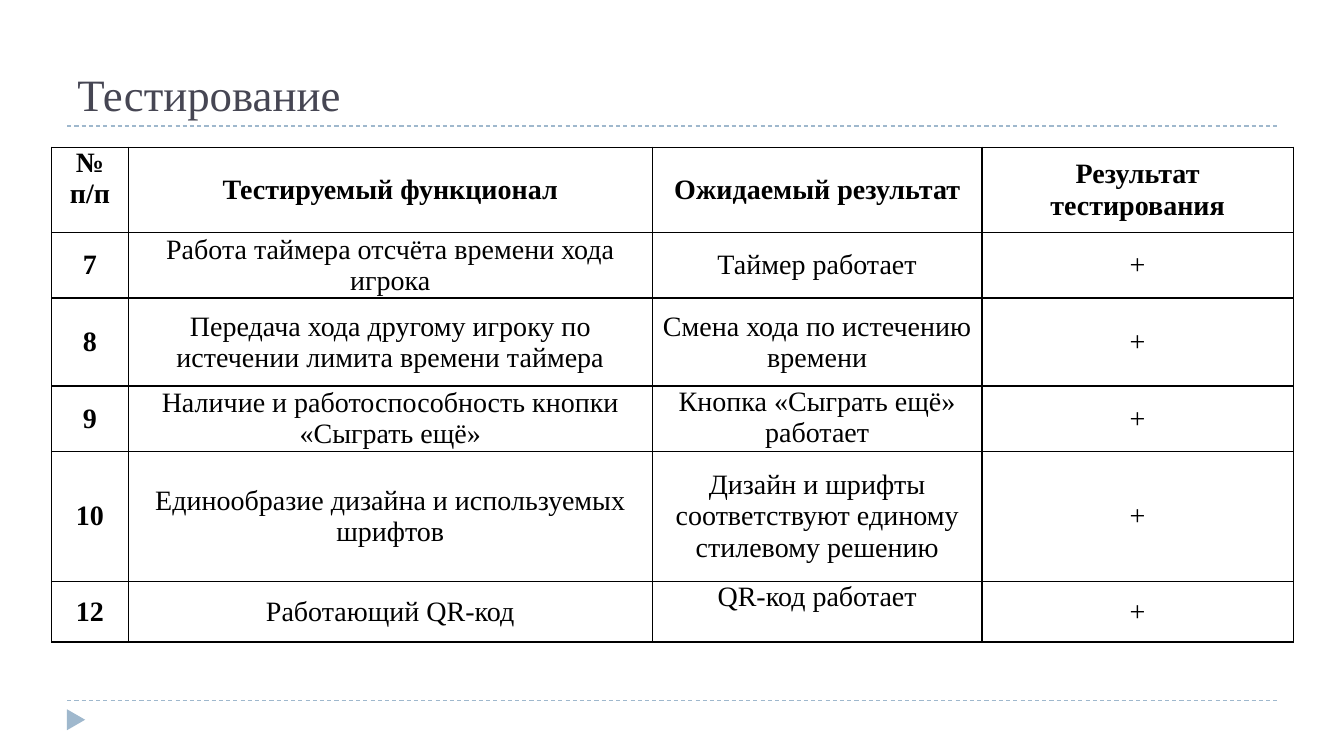
from lxml.etree import SubElement
from pptx import Presentation
from pptx.dml.color import RGBColor
from pptx.enum.dml import MSO_LINE
from pptx.enum.shapes import MSO_CONNECTOR, MSO_SHAPE
from pptx.enum.text import MSO_ANCHOR, MSO_AUTO_SIZE, PP_ALIGN
from pptx.oxml.ns import qn
from pptx.util import Pt

INK = RGBColor(0x00, 0x00, 0x00)
TITLE_GREY = RGBColor(0x46, 0x46, 0x53)
ACCENT_BLUE = RGBColor(0x9F, 0xB8, 0xCD)
FONT = "Times New Roman"

RULE_LEFT, RULE_RIGHT = 48, 912
COLUMN_WIDTHS = (54.7, 374.4, 235.4, 222.5)
ROW_HEIGHTS = (61.2, 46.6, 62.9, 46.6, 93.1, 43.2)
TEST_ROWS = (
    ("№ п/п", "Тестируемый функционал", "Ожидаемый результат", "Результат тестирования"),
    ("7", "Работа таймера отсчёта времени хода игрока", "Таймер работает", "+"),
    ("8", "Передача хода другому игроку по истечении лимита времени таймера",
     "Смена хода по истечению времени", "+"),
    ("9", "Наличие и работоспособность кнопки «Сыграть ещё»",
     "Кнопка «Сыграть ещё» работает", "+"),
    ("10", "Единообразие дизайна и используемых шрифтов",
     "Дизайн и шрифты соответствуют единому стилевому решению", "+"),
    ("12", "Работающий QR-код", "QR-код работает", "+"),
)
TOP_ANCHORED = {(0, 0), (3, 2), (5, 2)}  # (row, column)


def apply_format(target, values):
    for name, value in values.items():
        setattr(target, name, value)


def set_font(paragraph, size, color, bold=False):
    apply_format(paragraph.font, {"name": FONT, "size": Pt(size), "bold": bold})
    paragraph.font.color.rgb = color


def add_rule(slide, y):
    rule = slide.shapes.add_connector(
        MSO_CONNECTOR.STRAIGHT, Pt(RULE_LEFT), Pt(y), Pt(RULE_RIGHT), Pt(y))
    rule.line.color.rgb = ACCENT_BLUE
    apply_format(rule.line, {"width": Pt(0.75), "dash_style": MSO_LINE.DASH})
    SubElement(rule.element.spPr, qn("a:effectLst"))


def add_page_marker(slide):
    marker = slide.shapes.add_shape(
        MSO_SHAPE.ISOSCELES_TRIANGLE, Pt(46.8), Pt(507.6), Pt(15), Pt(13))
    marker.rotation = 90
    marker.shadow.inherit = False
    marker.fill.solid()
    marker.fill.fore_color.rgb = ACCENT_BLUE
    marker.line.fill.background()


def set_title(slide, text):
    title = slide.shapes.title
    apply_format(title, {"left": Pt(RULE_LEFT), "top": Pt(12.2),
                         "width": Pt(RULE_RIGHT - RULE_LEFT), "height": Pt(77.8)})
    frame = title.text_frame
    apply_format(frame, {"text": text, "word_wrap": True,
                         "auto_size": MSO_AUTO_SIZE.NONE,
                         "vertical_anchor": MSO_ANCHOR.BOTTOM})
    paragraph = frame.paragraphs[0]
    paragraph.alignment = PP_ALIGN.LEFT
    set_font(paragraph, 32, TITLE_GREY)


def add_borders(cell):
    properties = cell._tc.get_or_add_tcPr()
    for side in ("lnL", "lnR", "lnT", "lnB"):
        border = SubElement(properties, qn(f"a:{side}"), w=str(Pt(1)))
        fill = SubElement(border, qn("a:solidFill"))
        SubElement(fill, qn("a:srgbClr"), val=str(INK))


def fill_cell(cell, text, anchor, bold):
    add_borders(cell)
    cell.fill.background()
    apply_format(cell, {"text": text, "vertical_anchor": anchor,
                        "margin_left": Pt(4.5), "margin_right": Pt(4.5),
                        "margin_top": 0, "margin_bottom": 0})
    paragraph = cell.text_frame.paragraphs[0]
    paragraph.alignment = PP_ALIGN.CENTER
    set_font(paragraph, 20, INK, bold)


def add_test_table(slide):
    table = slide.shapes.add_table(
        len(TEST_ROWS), len(COLUMN_WIDTHS), Pt(36.9), Pt(105.1),
        Pt(sum(COLUMN_WIDTHS)), Pt(sum(ROW_HEIGHTS))).table
    apply_format(table, {"first_row": False, "horz_banding": False})
    for column, width in zip(table.columns, COLUMN_WIDTHS):
        column.width = Pt(width)
    for row, height in zip(table.rows, ROW_HEIGHTS):
        row.height = Pt(height)
    for r, texts in enumerate(TEST_ROWS):
        for c, text in enumerate(texts):
            anchor = MSO_ANCHOR.TOP if (r, c) in TOP_ANCHORED else MSO_ANCHOR.MIDDLE
            fill_cell(table.cell(r, c), text, anchor, bold=r == 0 or c == 0)


def main():
    deck = Presentation()
    apply_format(deck, {"slide_width": Pt(960), "slide_height": Pt(540)})
    slide = deck.slides.add_slide(deck.slide_layouts[5])
    for y in (500.4, 90):
        add_rule(slide, y)
    add_page_marker(slide)
    set_title(slide, "Тестирование")
    add_test_table(slide)
    deck.save("out.pptx")


if __name__ == "__main__":
    main()
